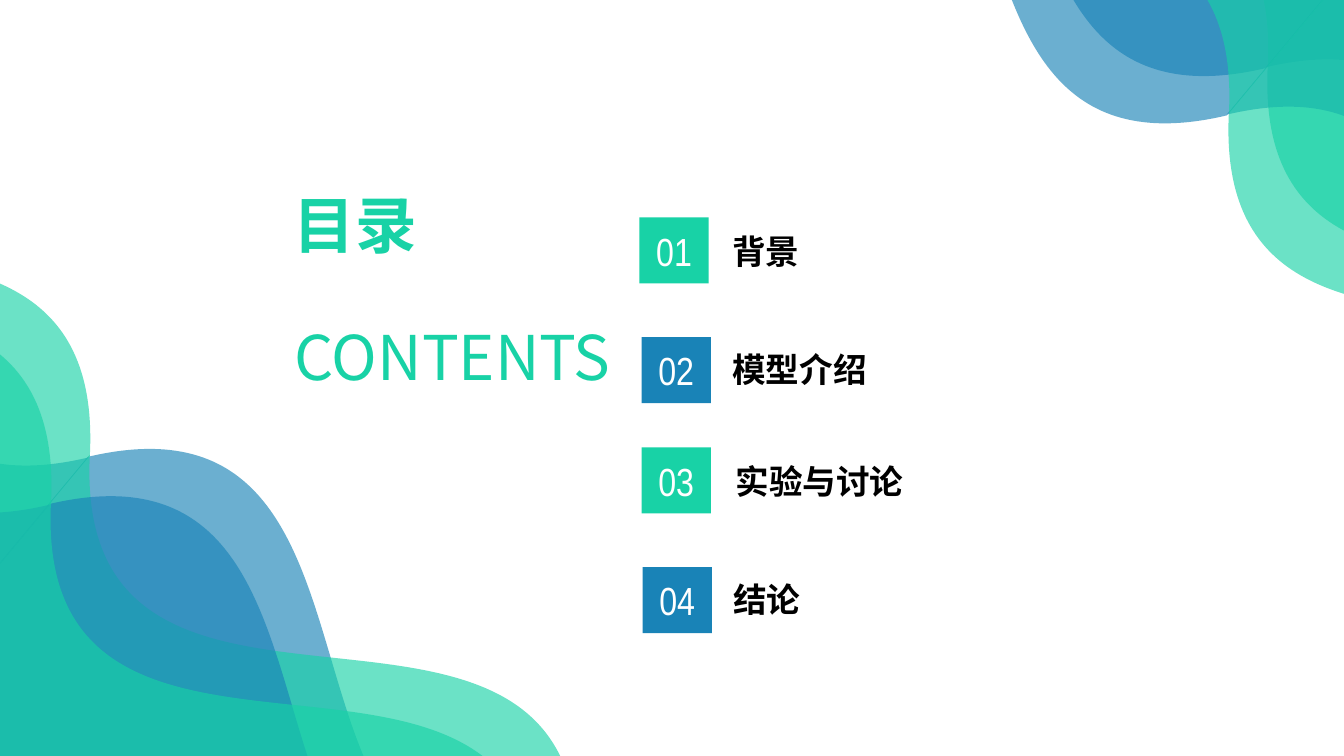
from lxml.etree import SubElement
from pptx import Presentation
from pptx.dml.color import RGBColor
from pptx.enum.shapes import MSO_SHAPE as Preset
from pptx.enum.text import MSO_ANCHOR as Anchor, MSO_AUTO_SIZE as AutoSize, PP_ALIGN as Align
from pptx.oxml.ns import qn
from pptx.util import Emu, Pt

GREEN, BLUE, WHITE, BLACK = "18D2A6", "1983B7", "FFFFFF", "000000"
CJK_FONT, NUMBER_FONT = "Noto Sans CJK SC", "Arial Narrow"


def px(length):
    return Emu(length * 9525)


def color(value):
    return RGBColor.from_string(value)


def write(shape, text, size=24, font=CJK_FONT, fill=BLACK, bold=False,
          align=Align.LEFT, anchor=Anchor.TOP, wrap=False):
    frame = shape.text_frame
    frame.auto_size = AutoSize.NONE
    frame.word_wrap = wrap
    frame.vertical_anchor = anchor
    paragraph = frame.paragraphs[0]
    paragraph.alignment = align
    paragraph.line_spacing = 1.0
    run = paragraph.add_run()
    run.text = text
    run.font.size = Pt(size)
    run.font.name = font
    run.font.bold = bold
    run.font.color.rgb = color(fill)
    SubElement(run.font._element, qn("a:ea"), typeface=font)


class ContentsSlide:
    wave_width, wave_height, wave_angle, wave_alpha = 604, 644, 219.8, 64000

    def __init__(self, presentation):
        self.slide = presentation.slides.add_slide(presentation.slide_layouts[5])
        self.shapes = self.slide.shapes

    def title(self, text, left, top, width, height):
        title = self.shapes.title
        title.left, title.top = px(left), px(top)
        title.width, title.height = px(width), px(height)
        write(title, text, size=44, fill=GREEN, bold=True)

    def text(self, text, left, top, width, height, **style):
        box = self.shapes.add_textbox(px(left), px(top), px(width), px(height))
        write(box, text, **style)

    def solid(self, container, preset, left, top, width, height, fill):
        shape = container.add_shape(preset, px(left), px(top), px(width), px(height))
        shape.shadow.inherit = False
        shape.fill.solid()
        shape.fill.fore_color.rgb = color(fill)
        shape.line.fill.background()
        return shape

    def badge(self, number, left, top, fill):
        badge = self.solid(self.shapes, Preset.RECTANGLE, left, top, 66, 63, fill)
        write(badge, number, size=28, font=NUMBER_FONT, fill=WHITE,
              align=Align.CENTER, anchor=Anchor.MIDDLE)

    def wave(self, group, left, top, fill, mirrored):
        wave = self.solid(group.shapes, Preset.WAVE, left, top,
                          self.wave_width, self.wave_height, fill)
        wave.rotation = self.wave_angle
        if mirrored:
            wave._element.spPr.xfrm.set("flipH", "1")
        solid_color = wave._element.spPr.find(".//" + qn("a:srgbClr"))
        SubElement(solid_color, qn("a:alpha"), val=str(self.wave_alpha))

    def wave_corner(self, left, top):
        group = self.shapes.add_group_shape()
        for layer_x, layer_y in ((0, 0), (-37, 45)):
            for tile_x, tile_y in ((0, 0), (-464, -386)):
                x, y = left + layer_x + tile_x, top + layer_y + tile_y
                self.wave(group, x, y, BLUE, mirrored=False)
                self.wave(group, x + 2, y - 2, GREEN, mirrored=True)


def main():
    presentation = Presentation()
    presentation.slide_width, presentation.slide_height = px(1280), px(720)
    contents = ContentsSlide(presentation)

    chapters = (
        ("背景", 609, 207, 688, 215),
        ("模型介绍", 611, 321, 688, 328),
        ("实验与讨论", 611, 426, 691, 434),
        ("结论", 612, 540, 689, 547),
    )
    for index, (name, badge_left, badge_top, left, top) in enumerate(chapters):
        contents.text(name, left, top, 528, 48, bold=True, wrap=True)
        contents.badge(f"{index + 1:02}", badge_left, badge_top, (GREEN, BLUE)[index % 2])

    contents.wave_corner(-141, 492)
    contents.wave_corner(1290, -250)

    contents.title("目录", 270, 173, 201, 93)
    contents.text("CONTENTS", 271, 299, 320, 94, size=44, fill=GREEN)

    presentation.save("out.pptx")


if __name__ == "__main__":
    main()
